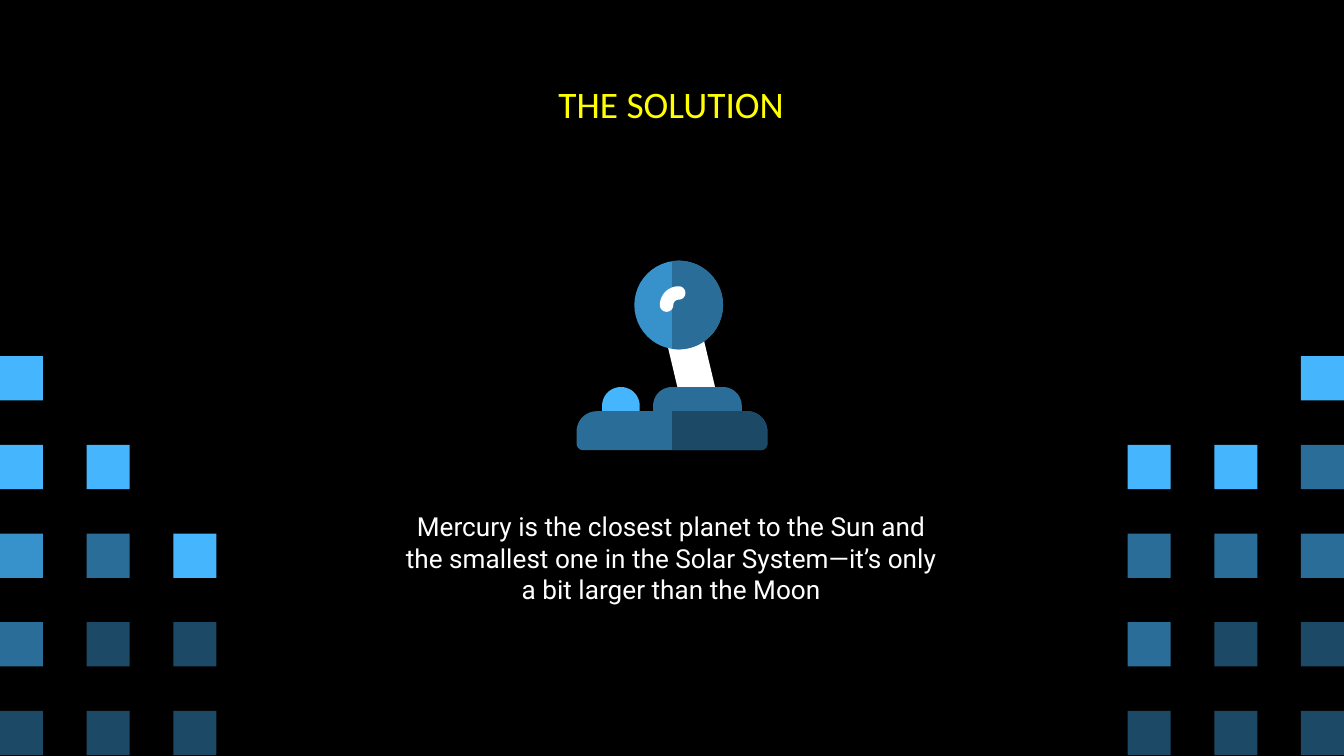
from dataclasses import dataclass
from math import acos, cos, degrees, radians, sin

from pptx import Presentation
from pptx.dml.color import RGBColor
from pptx.enum.shapes import MSO_SHAPE
from pptx.enum.text import MSO_ANCHOR, PP_ALIGN
from pptx.slide import Slide
from pptx.util import Inches, Pt

RECTANGLE = MSO_SHAPE.RECTANGLE
OVAL = MSO_SHAPE.OVAL
TOP, MIDDLE = MSO_ANCHOR.TOP, MSO_ANCHOR.MIDDLE
CENTER = PP_ALIGN.CENTER

COLORS = {
    "black": "000000",
    "white": "FFFFFF",
    "yellow": "FFFF00",
    "sky": "45B6FE",
    "azure": "3792CB",
    "steel": "296D98",
    "navy": "1C4966",
}
SQUARE_COLORS = {"s": "sky", "a": "azure", "b": "steel", "n": "navy"}
LEFT_SQUARES = ["s..", "ss.", "abs", "bnn", "nnn"]
RIGHT_SQUARES = ["..s", "ssb", "bbb", "bnn", "nnn"]


def arc(x, y, radius, start, end, steps=16):
    """Return points along an arc, with angles in degrees clockwise from the right."""
    angles = [radians(start + (end - start) * step / steps) for step in range(steps + 1)]
    return [(x + radius * cos(angle), y + radius * sin(angle)) for angle in angles]


@dataclass
class SlideBuilder:
    """Draws styled elements on the current slide."""

    slide: Slide

    def background(self, color):
        """Fill the slide background."""
        fill = self.slide.background.fill
        fill.solid()
        fill.fore_color.rgb = RGBColor.from_string(COLORS[color])

    def paint(self, shape, color):
        """Give a shape a flat fill without outline or shadow."""
        shape.shadow.inherit = False
        shape.fill.solid()
        shape.fill.fore_color.rgb = RGBColor.from_string(COLORS[color])
        shape.line.fill.background()

    def preset(self, kind, left, top, width, height, color):
        """Add a preset shape."""
        shape = self.slide.shapes.add_shape(
            kind, Inches(left), Inches(top), Inches(width), Inches(height)
        )
        self.paint(shape, color)

    def outline(self, points, color):
        """Add a closed freeform through the points."""
        first, *others = [(Inches(x), Inches(y)) for x, y in points]
        builder = self.slide.shapes.build_freeform(*first)
        builder.add_line_segments(others, close=True)
        self.paint(builder.convert_to_shape(), color)

    def squares(self, left, rows):
        """Add a grid of squares from rows of color letters."""
        for row, letters in enumerate(rows):
            for column, letter in enumerate(letters):
                if letter in SQUARE_COLORS:
                    self.preset(RECTANGLE, left + column * 1.29 / 2, 2.65 + row * 0.66,
                                0.32, 0.33, SQUARE_COLORS[letter])

    def text(self, words, left, top, width, height, font, size, color, anchor):
        """Add a centered text box."""
        box = self.slide.shapes.add_textbox(
            Inches(left), Inches(top), Inches(width), Inches(height)
        )
        frame = box.text_frame
        frame.word_wrap = True
        frame.vertical_anchor = anchor
        frame.margin_left = frame.margin_right = Inches(0.1)
        frame.margin_top = frame.margin_bottom = Inches(0.1)
        paragraph = frame.paragraphs[0]
        paragraph.text = words
        paragraph.alignment = CENTER
        paragraph.font.name = font
        paragraph.font.size = Pt(size)
        paragraph.font.color.rgb = RGBColor.from_string(COLORS[color])

    def joystick(self):
        """Add the joystick icon."""
        ball_x, ball_y, ball_radius, middle = 5.05, 2.27, 0.33, 5
        self.outline([(4.95, 2.5), (5.23, 2.5), (5.33, 2.92), (5.05, 2.92)], "white")
        self.preset(OVAL, ball_x - ball_radius, ball_y - ball_radius,
                    2 * ball_radius, 2 * ball_radius, "azure")
        reach = degrees(acos((middle - ball_x) / ball_radius))
        self.outline(arc(ball_x, ball_y, ball_radius, -reach, reach, 48), "steel")
        for left, right, color in [(4.86, 5.52, "steel"), (4.48, 4.76, "sky")]:
            self.outline(arc(left + 0.14, 3.02, 0.14, 180, 270)
                         + arc(right - 0.14, 3.02, 0.14, 270, 360)
                         + arc(right - 0.05, 3.11, 0.05, 0, 90)
                         + arc(left + 0.05, 3.11, 0.05, 90, 180), color)
        self.outline(arc(ball_x, ball_y, 0.14, 180, 270)
                     + arc(ball_x, ball_y - 0.09, 0.05, -90, 90)
                     + arc(ball_x, ball_y, 0.04, 270, 180)
                     + arc(ball_x - 0.09, ball_y, 0.05, 0, 180), "white")
        base_left = arc(4.34, 3.3, 0.05, 90, 180) + arc(4.44, 3.21, 0.15, 180, 270)
        base_right = arc(5.56, 3.21, 0.15, 270, 360) + arc(5.66, 3.3, 0.05, 0, 90)
        self.outline(base_left + base_right, "steel")
        self.outline([(middle, 3.06)] + base_right + [(middle, 3.35)], "navy")


def main():
    """Build the solution slide."""
    presentation = Presentation()
    presentation.slide_width = Inches(10)
    presentation.slide_height = Inches(10 * 9 / 16)
    builder = SlideBuilder(presentation.slides.add_slide(presentation.slide_layouts[6]))
    builder.background("black")
    builder.squares(8.39, RIGHT_SQUARES)
    builder.squares(0, LEFT_SQUARES)
    builder.text("THE SOLUTION", 0.78, 0.59, 8.43, 0.36, "Calibri", 20, "yellow", MIDDLE)
    builder.text(
        "Mercury is the closest planet to the Sun and the smallest one "
        "in the Solar System—it’s only a bit larger than the Moon",
        2.88, 3.7, 4.23, 0.99, "Roboto", 14, "white", TOP,
    )
    builder.joystick()
    presentation.save("out.pptx")


if __name__ == "__main__":
    main()
